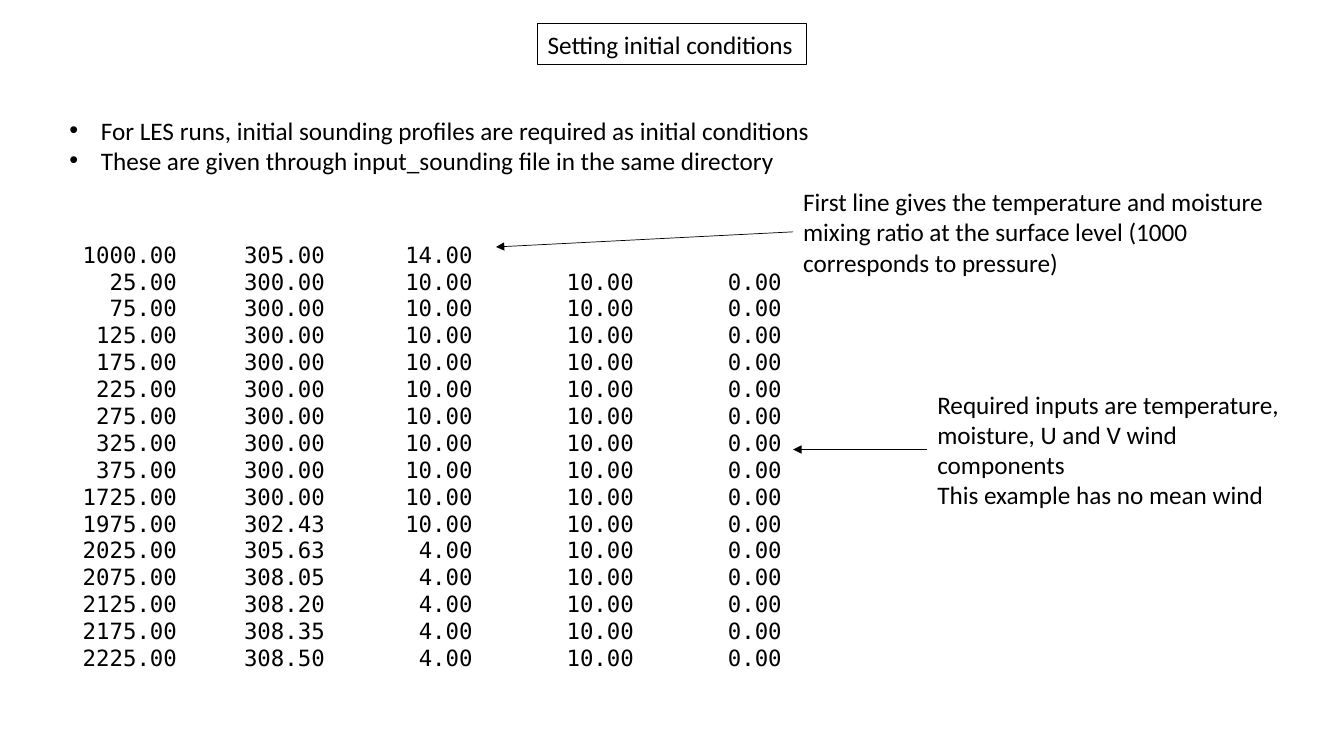
from dataclasses import dataclass

from lxml import etree
from pptx import Presentation
from pptx.dml.color import RGBColor
from pptx.enum import shapes, text
from pptx.oxml import ns
from pptx.util import Pt

TITLE = "Setting initial conditions"
POINTS = [
    "For LES runs, initial sounding profiles are required as initial conditions",
    "These are given through input_sounding file in the same directory",
]
SURFACE = (1000, 305, 14)
WIND = (10, 0)
LOWER_LEVELS = [(height, 300, 10) for height in range(25, 376, 50)]
UPPER_LEVELS = [
    (1725, 300, 10),
    (1975, 302.43, 10),
    (2025, 305.63, 4),
    (2075, 308.05, 4),
    (2125, 308.2, 4),
    (2175, 308.35, 4),
    (2225, 308.5, 4),
]
SURFACE_NOTE = [
    "First line gives the temperature and moisture mixing ratio at the surface level "
    "(1000 corresponds to pressure)",
]
INPUTS_NOTE = [
    "Required inputs are temperature, moisture, U and V wind components",
    "This example has no mean wind",
]


@dataclass(frozen=True)
class Theme:
    ink: RGBColor = RGBColor(0, 0, 0)
    body_font: str = "Calibri"
    body_size: int = 18
    data_font: str = "DejaVu Sans Mono"
    data_size: int = 16
    frame_line: float = 0.75
    arrow_line: float = 0.5


THEME = Theme()
LEFT = 42.5
DATA_WIDTH = 553
CHARACTER_WIDTH = 0.6 * THEME.data_size
COLUMN_ENDS = [CHARACTER_WIDTH * count for count in (8, 19, 30, 42, 53)]
BULLET_INDENT = 22.5


def style(paragraph, font, size):
    paragraph.font.name = font
    paragraph.font.size = Pt(size)
    paragraph.font.color.rgb = THEME.ink


def add_text(slide, lines, box, font=THEME.body_font, size=THEME.body_size):
    frame = slide.shapes.add_textbox(*map(Pt, box)).text_frame
    frame.word_wrap = True
    frame.text = "\n".join(lines)
    for paragraph in frame.paragraphs:
        style(paragraph, font, size)
    return frame


def add_bullets(frame):
    for paragraph in frame.paragraphs:
        properties = paragraph._p.get_or_add_pPr()
        properties.set("marL", str(Pt(BULLET_INDENT)))
        properties.set("indent", str(-Pt(BULLET_INDENT)))
        etree.SubElement(properties, ns.qn("a:buFont"), typeface="Arial")
        etree.SubElement(properties, ns.qn("a:buChar"), char="•")


def add_sounding(slide, rows, top, height):
    """Set rows of numbers in columns that end at right-aligned tab stops."""
    lines = ["".join(f"\t{value:.2f}" for value in row) for row in rows]
    frame = add_text(slide, lines, (LEFT, top, DATA_WIDTH, height),
                     THEME.data_font, THEME.data_size)
    for paragraph in frame.paragraphs:
        properties = paragraph._p.get_or_add_pPr()
        tabs = etree.Element(ns.qn("a:tabLst"))
        for end in COLUMN_ENDS:
            etree.SubElement(tabs, ns.qn("a:tab"), pos=str(Pt(end)), algn="r")
        properties.insert(0, tabs)


def add_arrow(slide, start, end):
    arrow = slide.shapes.add_connector(
        shapes.MSO_CONNECTOR.STRAIGHT, *map(Pt, start + end))
    arrow.line.color.rgb = THEME.ink
    arrow.line.width = Pt(THEME.arrow_line)
    etree.SubElement(arrow.line._get_or_add_ln(), ns.qn("a:tailEnd"), type="triangle")
    etree.SubElement(arrow._element.spPr, ns.qn("a:effectLst"))


def set_title(slide):
    title = slide.shapes.title
    title.left, title.top, title.width, title.height = map(Pt, (384, 17, 192, 29))
    title.line.color.rgb = THEME.ink
    title.line.width = Pt(THEME.frame_line)
    frame = title.text_frame
    frame.text = TITLE
    frame.word_wrap = False
    frame.auto_size = text.MSO_AUTO_SIZE.NONE
    frame.vertical_anchor = text.MSO_ANCHOR.TOP
    frame.paragraphs[0].alignment = text.PP_ALIGN.LEFT
    style(frame.paragraphs[0], THEME.body_font, THEME.body_size)


def main():
    deck = Presentation()
    deck.slide_width, deck.slide_height = Pt(960), Pt(540)
    slide = deck.slides.add_slide(deck.slide_layouts.get_by_name("Title Only"))

    set_title(slide)
    add_bullets(add_text(slide, POINTS, (LEFT, 78.5, 875, 51)))
    add_sounding(slide, [SURFACE] + [level + WIND for level in LOWER_LEVELS], 168.5, 181)
    add_sounding(slide, [level + WIND for level in UPPER_LEVELS], 341.3, 145)
    add_text(slide, SURFACE_NOTE, (566.6, 129.6, 376, 73))
    add_arrow(slide, (566.6, 165.6), (354.3, 176.4))
    add_text(slide, INPUTS_NOTE, (662.4, 274.3, 265, 94))
    add_arrow(slide, (662.4, 321.1), (566.6, 321.1))

    deck.save("out.pptx")


if __name__ == "__main__":
    main()
